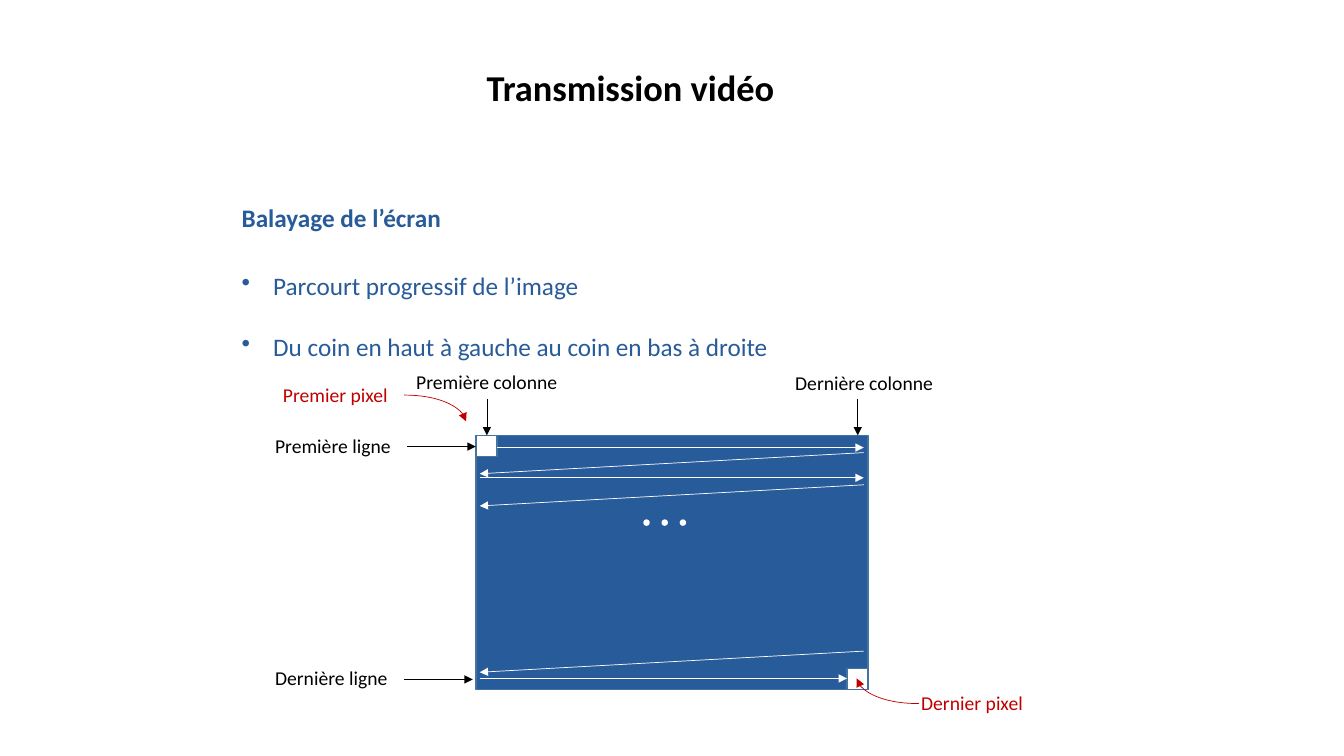
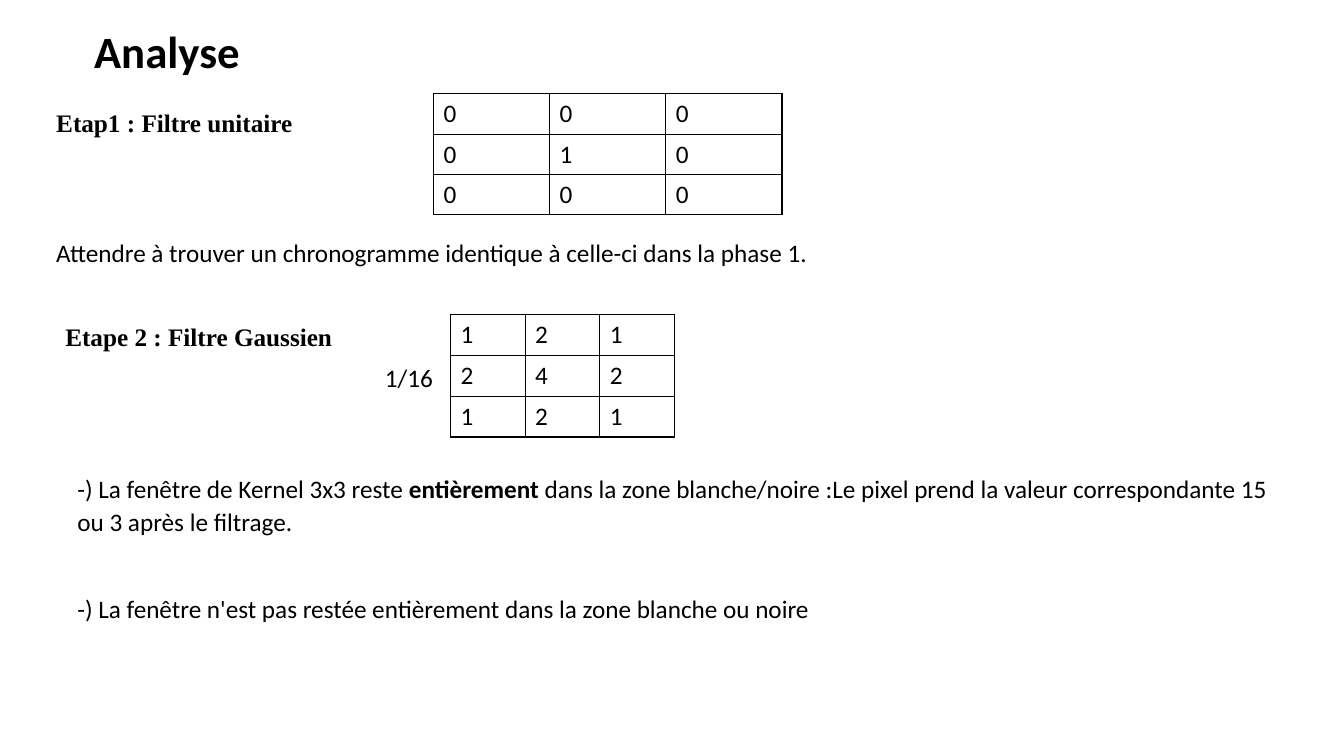
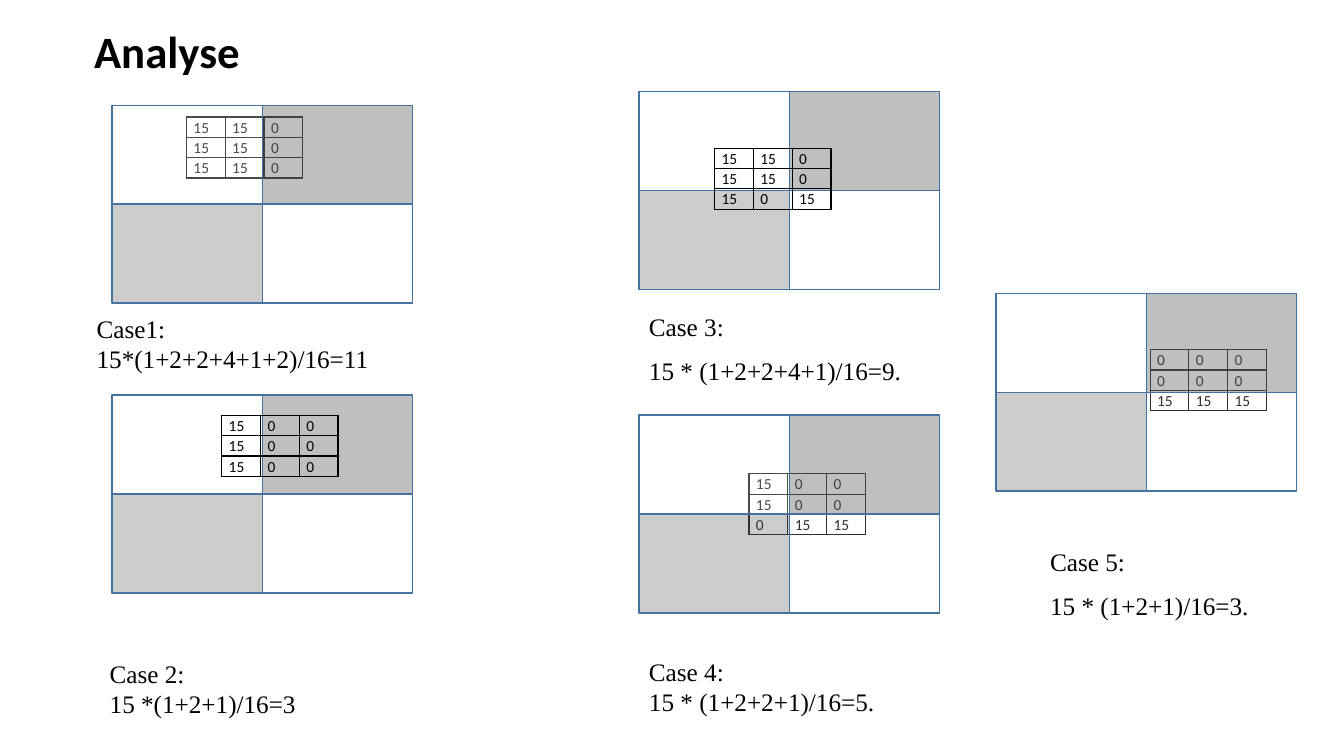
from lxml.etree import SubElement
from pptx import Presentation
from pptx.dml.color import RGBColor
from pptx.enum.shapes import MSO_CONNECTOR as Connector, MSO_SHAPE as Shape
from pptx.enum.text import MSO_ANCHOR as Anchor, MSO_AUTO_SIZE as AutoSize, PP_ALIGN as Align
from pptx.oxml import parse_xml
from pptx.oxml.ns import nsdecls, qn
from pptx.util import Pt

BLACK = RGBColor(0x00, 0x00, 0x00)
WHITE = RGBColor(0xFF, 0xFF, 0xFF)
GRAY = RGBColor(0x80, 0x80, 0x80)
BLUE = RGBColor(0x28, 0x5B, 0x99)
EDGE_BLUE = RGBColor(0x43, 0x73, 0x9E)
RED = RGBColor(0xC0, 0x00, 0x00)
SANS = "Calibri"
SERIF = "Times New Roman"
TITLE_ONLY = 5
LOOSE = 1.07
TILE_WIDTH, TILE_HEIGHT = 107.4, 70.7


def points(*lengths):
    """Convert plain numbers to point lengths."""
    return [Pt(length) for length in lengths]


def style(paragraph, size=18, font=SANS, color=BLACK, bold=False):
    """Set the font of a whole paragraph."""
    paragraph.font.name = font
    paragraph.font.size = Pt(size)
    paragraph.font.color.rgb = color
    paragraph.font.bold = bold


def add_titled_slide(deck, title, box, size, align=Align.LEFT, anchor=Anchor.TOP):
    """Add a title-only slide and format its title."""
    slide = deck.slides.add_slide(deck.slide_layouts[TITLE_ONLY])
    heading = slide.shapes.title
    heading.left, heading.top, heading.width, heading.height = points(*box)
    frame = heading.text_frame
    frame.text = title
    frame.auto_size = AutoSize.NONE
    frame.vertical_anchor = anchor
    paragraph = frame.paragraphs[0]
    paragraph.alignment = align
    style(paragraph, size, bold=True)
    return slide


def add_analysis_slide(deck):
    """Add a slide of the analysis part."""
    slide = add_titled_slide(deck, "Analyse", (60, 10.8, 124, 47), 32)
    slide.shapes.title.text_frame.paragraphs[0].line_spacing = LOOSE
    return slide


def add_text(slide, box, lines, spacing=None, gap=0, anchor=Anchor.TOP, **font):
    """Add a text box; parts of a line between bars are bold."""
    frame = slide.shapes.add_textbox(*points(*box)).text_frame
    frame.word_wrap = True
    frame.vertical_anchor = anchor
    for index, line in enumerate(lines):
        paragraph = frame.add_paragraph() if index else frame.paragraphs[0]
        style(paragraph, **font)
        if spacing:
            paragraph.line_spacing = spacing
        if index and gap:
            paragraph.space_before = Pt(gap)
        for part, words in enumerate(line.split("|")):
            run = paragraph.add_run()
            run.text = words
            if part % 2:
                run.font.bold = True
    return frame


def add_bullets(frame, indent):
    """Give every paragraph of a frame a hanging bullet."""
    for paragraph in frame.paragraphs:
        properties = paragraph._p.get_or_add_pPr()
        properties.set("marL", str(Pt(indent)))
        properties.set("indent", str(-Pt(indent)))
        bullet = parse_xml(f'<a:buChar {nsdecls("a")} char="•"/>')
        properties.find(qn("a:defRPr")).addprevious(bullet)


def add_block(shapes, kind, box, fill, edge, opacity=None):
    """Add a filled, outlined shape, translucent if an opacity is given."""
    block = shapes.add_shape(kind, *points(*box))
    block.shadow.inherit = False
    block.fill.solid()
    block.fill.fore_color.rgb = fill
    block.line.color.rgb = edge
    block.line.width = Pt(1)
    if opacity:
        color = block._element.spPr.find(qn("a:solidFill"))[0]
        SubElement(color, qn("a:alpha"), val=str(opacity * 1000))


def add_arrow(slide, start, end, color, curved=False):
    """Add a thin arrow, straight or bent in a quarter curve."""
    kind = Connector.CURVE if curved else Connector.STRAIGHT
    arrow = slide.shapes.add_connector(kind, *points(*start, *end))
    arrow.line.color.rgb = color
    arrow.line.width = Pt(0.5)
    properties = arrow._element.spPr
    SubElement(properties.find(qn("a:ln")), qn("a:tailEnd"), type="triangle")
    SubElement(properties, qn("a:effectLst"))
    if curved:
        properties.find(qn("a:prstGeom")).set("prst", "curvedConnector2")


def add_border(cell):
    """Draw a black line on the four sides of a cell."""
    for position, side in enumerate(("lnL", "lnR", "lnT", "lnB")):
        edge = parse_xml(
            f'<a:{side} {nsdecls("a")} w="{Pt(1)}"><a:solidFill>'
            f'<a:srgbClr val="{BLACK}"/></a:solidFill></a:{side}>')
        cell._tc.get_or_add_tcPr().insert(position, edge)


def add_matrix(slide, origin, rows, column_width, row_height, size=18, compact=False):
    """Add a bordered table of numbers without fill."""
    count = len(rows[0])
    frame = slide.shapes.add_table(
        len(rows), count,
        *points(*origin, column_width * count, row_height * len(rows)))
    table = frame.table
    table.first_row = table.horz_banding = False
    for column in table.columns:
        column.width = Pt(column_width)
    for row, values in zip(table.rows, rows):
        row.height = Pt(row_height)
        for cell, value in zip(row.cells, values):
            cell.text = str(value)
            cell.fill.background()
            add_border(cell)
            paragraph = cell.text_frame.paragraphs[0]
            style(paragraph, size)
            if compact:
                paragraph.line_spacing = LOOSE
                cell.margin_left = cell.margin_right = Pt(5)
                cell.margin_top = cell.margin_bottom = Pt(0)


def add_checkerboard(slide, origin):
    """Add a group of four translucent tiles, white and gray."""
    tiles = slide.shapes.add_group_shape().shapes
    looks = ((WHITE, 29), (GRAY, 50), (GRAY, 40), (WHITE, 19))
    for index, (fill, opacity) in enumerate(looks):
        row, column = divmod(index, 2)
        box = (origin[0] + column * TILE_WIDTH, origin[1] + row * TILE_HEIGHT,
               TILE_WIDTH, TILE_HEIGHT)
        add_block(tiles, Shape.RECTANGLE, box, fill, EDGE_BLUE, opacity)


def add_case(slide, board, window, rows, window_on_top):
    """Add a checkerboard with the kernel window over or under it."""
    if window_on_top:
        add_checkerboard(slide, board)
    add_matrix(slide, window, rows, 27.7, 13, size=11, compact=True)
    if not window_on_top:
        add_checkerboard(slide, board)


def add_screen(slide):
    """Draw the screen, its corner pixels and the scan path."""
    left, top, width, height, pixel = 340, 311, 280, 181.5, 15
    add_block(slide.shapes, Shape.RECTANGLE, (left, top, width, height), BLUE, EDGE_BLUE)
    for x, y in ((left, top), (left + width - pixel, top + height - pixel)):
        add_block(slide.shapes, Shape.RECTANGLE, (x, y, pixel, pixel), WHITE, EDGE_BLUE)

    scan_left, scan_right, drop = left + 2.7, left + width - 3, 15.1
    for start, end, y in ((left + pixel, scan_right, 319.7),
                          (scan_left, scan_right, 341.3),
                          (scan_left, left + width - pixel, 484.6)):
        add_arrow(slide, (start, y), (end, y), WHITE)
    for y in (323.3, 346.3, 465.1):
        add_arrow(slide, (scan_right, y), (scan_left, y + drop), WHITE)

    dots = slide.shapes.add_group_shape().shapes
    for index in range(3):
        add_block(dots, Shape.OVAL, (460 + index * 13, 371.5, 3.6, 3.6), WHITE, WHITE)


def build_scan_slide(deck):
    """Build the slide on how a screen is scanned."""
    slide = add_titled_slide(deck, "Transmission vidéo", (136, 19.5, 629, 85), 26,
                             Align.CENTER, Anchor.MIDDLE)
    add_text(slide, (165.6, 135.4, 629, 40), ["Balayage de l’écran"],
             anchor=Anchor.MIDDLE, color=BLUE, bold=True)
    steps = add_text(slide, (165.6, 189.4, 629, 245),
                     ["Parcourt progressif de l’image",
                      "Du coin en haut à gauche au coin en bas à droite"],
                     gap=22, color=BLUE)
    add_bullets(steps, 22.5)
    add_screen(slide)

    for label, x, y, width, color in (
            ("Premier pixel", 195, 270, 93, RED),
            ("Première colonne", 290.2, 260.6, 115, BLACK),
            ("Première ligne", 189.4, 306.7, 102, BLACK),
            ("Dernière colonne", 560.9, 261.4, 115, BLACK),
            ("Dernière ligne", 189.4, 472.3, 105, BLACK),
            ("Dernier pixel", 650.9, 490.3, 93, RED)):
        add_text(slide, (x, y, width, 24.3), [label], size=14, color=color)
    for x in (347.8, 612.7):
        add_arrow(slide, (x, 285), (x, 311), BLACK)
    for x, y in ((290.9, 319), (288.7, 485.3)):
        add_arrow(slide, (x, y), (x + 49, y), BLACK)
    add_arrow(slide, (288.7, 282.2), (332.9, 301), RED, curved=True)
    add_arrow(slide, (656.6, 502.6), (612, 484.6), RED, curved=True)


def build_filter_slide(deck):
    """Build the slide with the two filter kernels."""
    slide = add_analysis_slide(deck)
    unit = add_text(slide, (33.1, 71.3, 737, 148),
                    ["Etap1\u00a0: Filtre unitaire",
                     "Attendre à trouver un chronogramme identique à celle-ci "
                     "dans la phase 1."],
                    LOOSE, gap=70, font=SERIF, bold=True)
    style(unit.paragraphs[1])
    add_text(slide, (39.6, 224.6, 210, 31), ["Etape 2\u00a0: Filtre Gaussien"],
             LOOSE, font=SERIF, bold=True)
    add_matrix(slide, (309.6, 67), [(0, 0, 0), (0, 1, 0), (0, 0, 0)], 83, 26.6)
    add_matrix(slide, (321.8, 224.6), [(1, 2, 1), (2, 4, 2), (1, 2, 1)], 53.3, 29.2)
    add_text(slide, (267.8, 255, 50, 29), ["1/16"])
    add_text(slide, (48.2, 333.4, 878, 117),
             ["-) La fenêtre de Kernel 3x3 reste |entièrement| dans la zone "
              "blanche/noire :Le pixel prend la valeur correspondante 15 ou 3 "
              "après le filtrage.",
              "-) La fenêtre n'est pas restée entièrement dans la zone blanche ou noire"],
             LOOSE, gap=39.5)


def build_cases_slide(deck):
    """Build the slide with the five positions of the kernel window."""
    slide = add_analysis_slide(deck)
    for board, window, rows, window_on_top in (
            ((79.9, 75.2), (133.2, 83.5), [(15, 15, 0)] * 3, False),
            ((79.9, 282.2), (158.4, 296.6), [(15, 0, 0)] * 3, True),
            ((456.5, 65.5), (510.5, 105.8), [(15, 15, 0)] * 2 + [(15, 0, 15)], True),
            ((456.5, 296.6), (535, 338.4), [(15, 0, 0)] * 2 + [(0, 15, 15)], False),
            ((711.4, 209.5), (821.5, 249.8), [(0, 0, 0)] * 2 + [(15, 15, 15)], False)):
        add_case(slide, board, window, rows, window_on_top)

    for box, lines in (
            ((61.9, 220.3, 226, 51), ["Case1: 15*(1+2+2+4+1+2)/16=11"]),
            ((71.3, 466.6, 152, 51), ["Case 2:", "15 *(1+2+1)/16=3"]),
            ((456.5, 465.1, 180, 51), ["Case 4:", "15 * (1+2+2+1)/16=5."])):
        add_text(slide, box, lines, font=SERIF)
    for box, lines in (
            ((456.5, 217.4, 200, 62), ["Case 3:", "15 * (1+2+2+4+1)/16=9."]),
            ((743, 385.2, 161, 62), ["Case 5:", "15 * (1+2+1)/16=3."])):
        add_text(slide, box, lines, LOOSE, gap=8, font=SERIF)


def main():
    """Build and save the three slides."""
    deck = Presentation()
    deck.slide_width, deck.slide_height = points(960, 540)
    build_scan_slide(deck)
    build_filter_slide(deck)
    build_cases_slide(deck)
    deck.save("out.pptx")


main()
